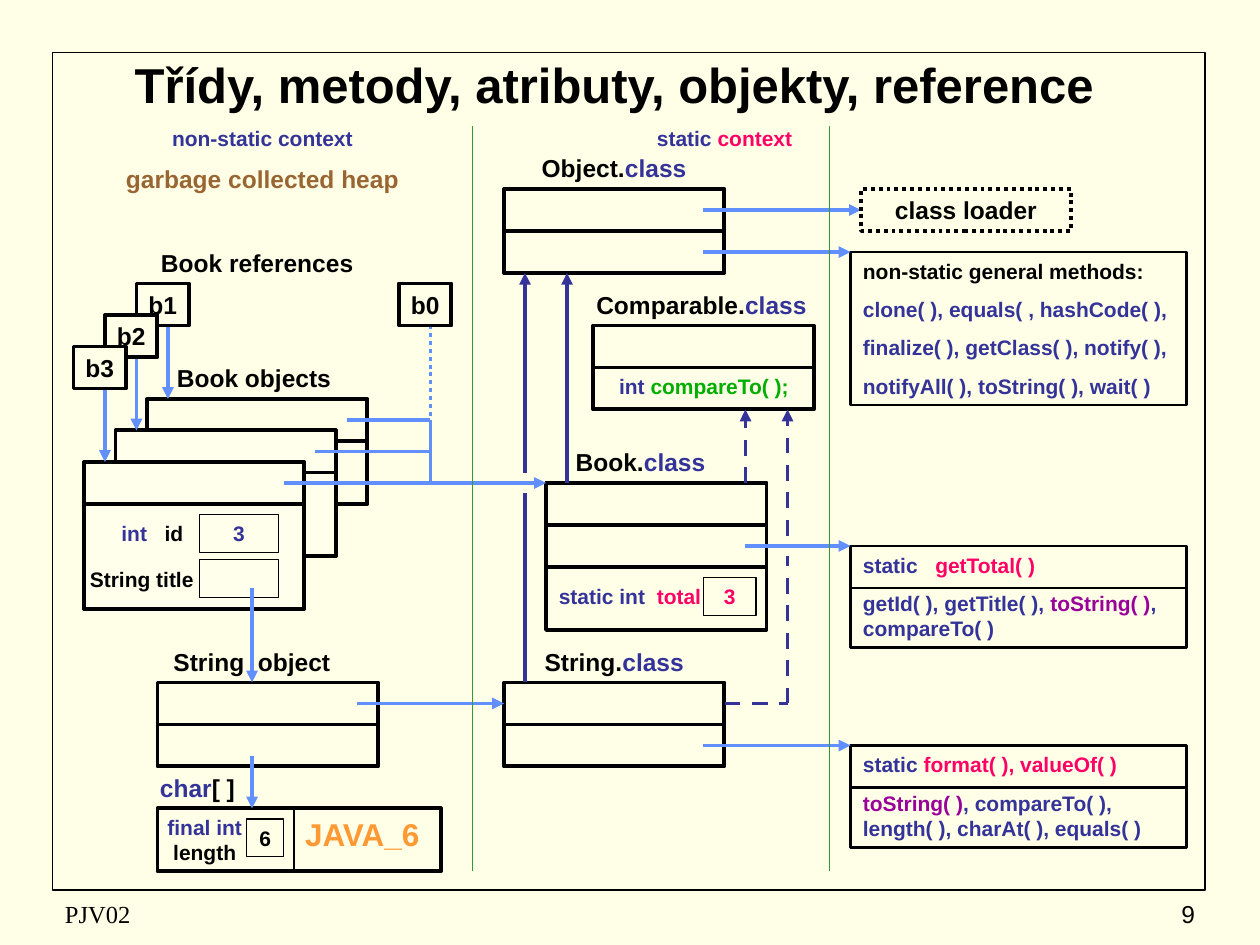
from lxml import etree
from pptx import Presentation
from pptx.dml.color import RGBColor
from pptx.enum.dml import MSO_LINE_DASH_STYLE as Dash
from pptx.enum.shapes import MSO_CONNECTOR as Connector, MSO_SHAPE as Preset
from pptx.enum.text import MSO_ANCHOR as Anchor, PP_ALIGN as Align
from pptx.oxml.ns import qn
from pptx.util import Pt

PX = 7620
COLORS = {
    "background": "FFFFE7", "paper": "FFFFEB", "black": "000000",
    "navy": "333399", "blue": "618FFD", "pink": "FF0066",
    "purple": "990099", "green": "00AE00", "divider": "339933",
    "brown": "996633", "orange": "FF9933",
}
RGB = {name: RGBColor.from_string(value) for name, value in COLORS.items()}

presentation = Presentation()
presentation.slide_width = 1200 * PX
presentation.slide_height = 900 * PX
slide = presentation.slides.add_slide(presentation.slide_layouts[6])
slide.background.fill.solid()
slide.background.fill.fore_color.rgb = RGB["background"]


def add_box(x, y, width, height, weight, fill=None):
    shape = slide.shapes.add_shape(Preset.RECTANGLE, x * PX, y * PX, width * PX, height * PX)
    shape.shadow.inherit = False
    if fill:
        shape.fill.solid()
        shape.fill.fore_color.rgb = RGB[fill]
    else:
        shape.fill.background()
    shape.line.color.rgb = RGB["black"]
    shape.line.width = Pt(weight)
    return shape


def write_text(shape, paragraphs, size, align=Align.CENTER, anchor=Anchor.TOP,
               wrap=True, font="Arial", bold=True):
    frame = shape.text_frame
    frame.word_wrap = wrap
    frame.vertical_anchor = anchor
    for index, runs in enumerate(paragraphs):
        paragraph = frame.add_paragraph() if index else frame.paragraphs[0]
        paragraph.alignment = align
        if index:
            paragraph.space_before = Pt(7.5)
        for text, color in runs:
            run = paragraph.add_run()
            run.text = text
            run.font.name = font
            run.font.size = Pt(size)
            run.font.bold = bold
            run.font.color.rgb = RGB[color]


add_box(50, 50, 1098, 798, 1)

object_boxes = [
    (140, 380, 210, 100, None), (110, 410, 210, 120, "paper"), (80, 440, 210, 140, "paper"),
    (150, 650, 210, 80, None), (150, 770, 270, 60, None),
]
class_boxes = [
    (480, 180, 210, 80, None), (565, 310, 210, 80, None), (520, 460, 210, 140, None),
    (520, 460, 210, 80, None), (480, 650, 210, 80, None),
]
for x, y, width, height, fill in object_boxes + class_boxes:
    add_box(x, y, width, height, 2.25, fill)

value_boxes = [
    (190, 490, 75, "3", "navy"), (190, 533, 75, "", "black"),
    (235, 780, 35, "6", "black"), (670, 550, 50, "3", "pink"),
]
for x, y, width, value, color in value_boxes:
    shape = add_box(x, y, width, 36, 0.75)
    if value:
        write_text(shape, [[(value, color)]], 12)

method_boxes = [
    (240, 146, [
        [("non-static general methods:", "black")],
        [("clone( ), equals( , hashCode( ),", "navy")],
        [("finalize( ), getClass( ), notify( ),", "navy")],
        [("notifyAll( ), toString( ), wait( )", "navy")],
    ]),
    (520, 97, [
        [("static   ", "navy"), ("getTotal( )", "pink")],
        [("getId( ), getTitle( ), ", "navy"), ("toString( )", "purple"), (", compareTo( )", "navy")],
    ]),
    (710, 97, [
        [("static ", "navy"), ("format( ), valueOf( )", "pink")],
        [("toString( )", "purple"), (", compareTo( ), length( ), charAt( ), equals( )", "navy")],
    ]),
]
for y, height, paragraphs in method_boxes:
    write_text(add_box(810, y, 320, height, 1.5), paragraphs, 12, Align.LEFT)

row_dividers = [
    (480, 220, 690, 220), (520, 500, 730, 500), (80, 480, 290, 480), (150, 690, 360, 690),
    (480, 690, 690, 690), (565, 350, 775, 350), (290, 450, 320, 450), (320, 420, 350, 420),
]
method_dividers = [(810, 560, 1130, 560), (810, 750, 1130, 750)]
context_dividers = [(450, 120, 450, 830), (790, 120, 790, 830)]
reference_arrows = [
    (670, 200, 820, 200), (670, 240, 810, 240), (710, 520, 810, 520), (670, 710, 810, 710),
    (270, 460, 520, 460), (340, 670, 480, 670), (240, 560, 240, 650), (240, 720, 240, 770),
    (100, 340, 100, 440), (130, 310, 130, 410), (160, 280, 160, 380),
]
reference_lines = [(300, 430, 410, 430), (330, 400, 410, 400), (410, 460, 410, 400)]
inheritance_arrows = [(540, 460, 540, 260), (500, 450, 500, 260)]
interface_arrows = [(710, 460, 710, 390), (750, 510, 750, 390)]
interface_lines = [(750, 670, 750, 530), (690, 670, 750, 670)]
line_groups = [
    (row_dividers, "black", 2.25, None, False),
    (method_dividers, "black", 1.5, None, False),
    ([(280, 770, 280, 830)], "black", 0.75, None, False),
    (reference_arrows, "blue", 2.25, None, True),
    (reference_lines, "blue", 2.25, None, False),
    ([(410, 310, 410, 400)], "blue", 2.25, Dash.ROUND_DOT, False),
    (inheritance_arrows, "navy", 2.25, None, True),
    ([(500, 650, 500, 470)], "navy", 2.25, None, False),
    (interface_arrows, "navy", 2.25, Dash.DASH, True),
    (interface_lines, "navy", 2.25, Dash.DASH, False),
    (context_dividers, "divider", 0.75, None, False),
]
for lines, color, weight, dash, arrow in line_groups:
    for points in lines:
        connector = slide.shapes.add_connector(Connector.STRAIGHT, *(value * PX for value in points))
        connector.line.color.rgb = RGB[color]
        connector.line.width = Pt(weight)
        if dash:
            connector.line.dash_style = dash
        if arrow:
            etree.SubElement(connector.line._get_or_add_ln(), qn("a:tailEnd"), type="triangle")
        etree.SubElement(connector._element.spPr, qn("a:effectLst"))

labels = [
    (140, 114, 220, 36, 12, [("non-static context", "navy")]),
    (580, 114, 220, 36, 12, [("static ", "navy"), ("context", "pink")]),
    (90, 150, 320, 40, 14, [("garbage collected heap", "brown")]),
    (130, 230, 230, 40, 14, [("Book references", "black")]),
    (140, 340, 204, 40, 14, [("Book objects", "black")]),
    (140, 610, 200, 40, 14, [("String  object", "black")]),
    (136, 730, 104, 40, 14, [("char", "navy"), ("[ ]", "black")]),
    (496, 140, 184, 40, 14, [("Object.", "black"), ("class ", "navy")]),
    (556, 270, 224, 40, 14, [("Comparable.", "black"), ("class ", "navy")]),
    (520, 420, 180, 40, 14, [("Book.", "black"), ("class", "navy")]),
    (490, 610, 190, 40, 14, [("String.", "black"), ("class", "navy")]),
    (550, 350, 241, 36, 12, [("int", "navy"), (" compareTo( );", "green")]),
    (500, 550, 200, 36, 12, [("static int  ", "navy"), ("total", "pink")]),
    (100, 490, 90, 36, 12, [("int   ", "navy"), ("id", "black")]),
    (60, 534, 150, 36, 12, [("String title", "black")]),
    (130, 770, 130, 60, 12, [("final int ", "navy"), ("length", "black")]),
    (270, 770, 150, 48, 18, [("JAVA_6", "orange")]),
]
for x, y, width, height, size, runs in labels:
    label = slide.shapes.add_textbox(x * PX, y * PX, width * PX, height * PX)
    write_text(label, [runs], size)

for x, y, name in [(130, 270, "b1"), (100, 300, "b2"), (70, 330, "b3"), (380, 270, "b0")]:
    reference_box = add_box(x, y, 50, 40, 2.25, "background")
    write_text(reference_box, [[(name, "black")]], 14, anchor=Anchor.MIDDLE, wrap=False)

loader = add_box(820, 180, 200, 40, 2.25, "background")
loader.line.dash_style = Dash.ROUND_DOT
write_text(loader, [[("class loader", "black")]], 14, anchor=Anchor.MIDDLE, wrap=False)

page_texts = [
    (50, 40, 1070, 80, "Třídy, metody, atributy, objekty, reference", 28, Align.CENTER, "Arial", True),
    (50, 850, 380, 40, "PJV02", 14, Align.LEFT, "Times New Roman", False),
    (900, 850, 250, 40, "9", 14, Align.RIGHT, "Arial", False),
]
for x, y, width, height, text, size, align, font, bold in page_texts:
    label = slide.shapes.add_textbox(x * PX, y * PX, width * PX, height * PX)
    write_text(label, [[(text, "black")]], size, align, Anchor.MIDDLE, True, font, bold)

presentation.save("out.pptx")
